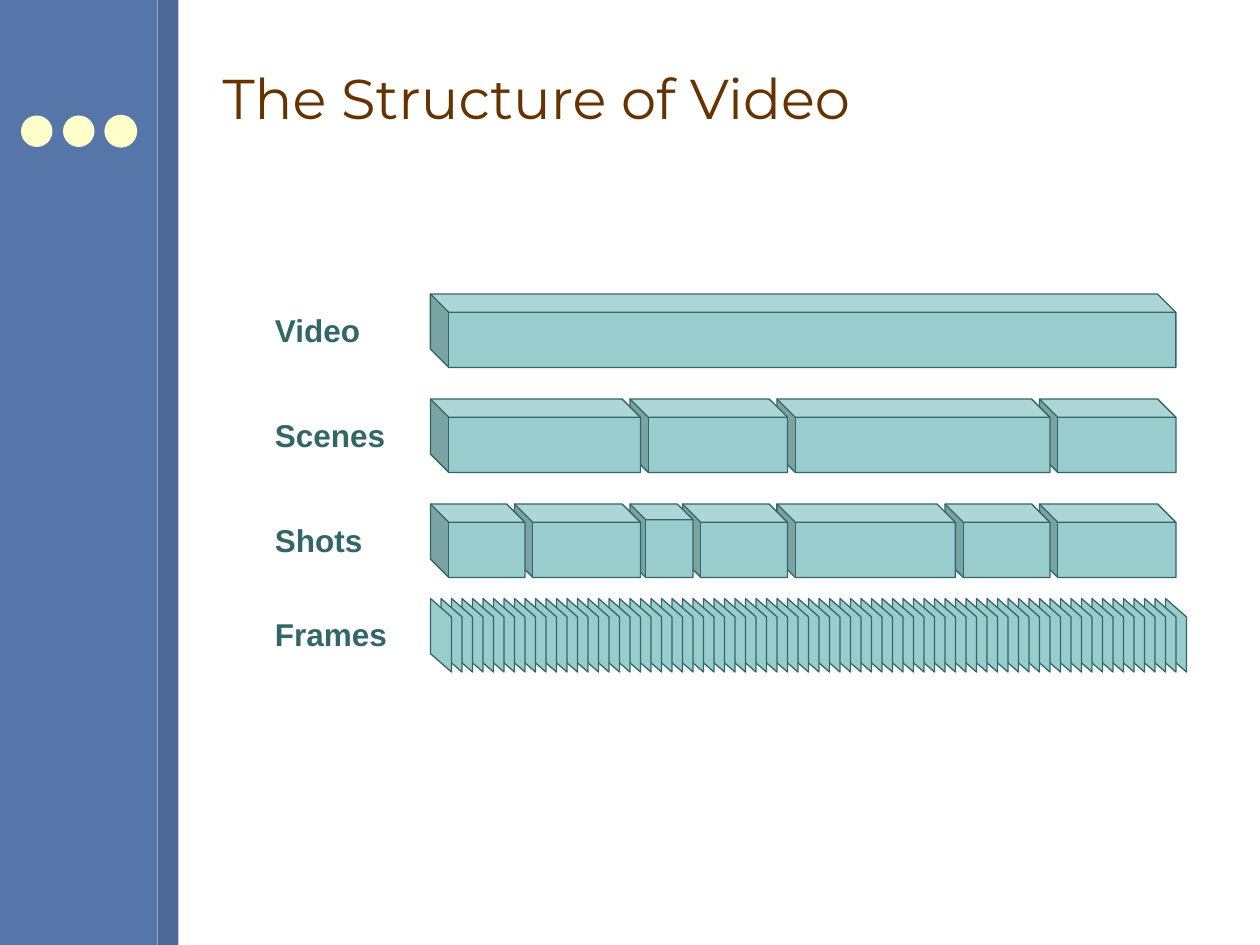
from pptx import Presentation, util as u
from pptx.dml.color import RGBColor
from pptx.enum import shapes, text

COLORS = {
    "sidebar": "5675A9", "edge": "4D6997", "dot": "FFFFCC",
    "block": "99CCCC", "outline": "336666", "title": "663300",
}
GRID = shapes.MSO_SHAPE
START, END = 246, 666      # horizontal extent of the timeline
OVERLAP = 6                # each block runs on behind the one to its left
HEIGHT = 42
FRAME_STEP, FRAME_WIDTH = 6, 12

# Label, label width, top of the row, left edges of its blocks
ROWS = [
    ("Video", 64, 168, [START]),
    ("Scenes", 78, 228, [START, 360, 444, 594]),
    ("Shots", 65, 288, [START, 294, 360, 390, 444, 540, 594]),
    ("Frames", 80, 342, range(START, END + 1, FRAME_STEP)),
]


def color(name):
    return RGBColor.from_string(COLORS[name])


def add_shape(page, kind, left, top, width, height, fill, line=None):
    shape = page.shapes.add_shape(
        kind, u.Pt(left), u.Pt(top), u.Pt(width), u.Pt(height))
    shape.shadow.inherit = False
    shape.fill.solid()
    shape.fill.fore_color.rgb = color(fill)
    if line:
        shape.line.color.rgb = color(line)
        shape.line.width = u.Pt(0.75)
    else:
        shape.line.fill.background()
    return shape


def add_span(para, words, font, size, fill, bold=False):
    span = para.add_run()
    span.text = words
    span.font.name = font
    span.font.size = u.Pt(size)
    span.font.bold = bold
    span.font.color.rgb = color(fill)


def add_sidebar(page):
    add_shape(page, GRID.RECTANGLE, 0, 0, 90, 540, "sidebar")
    add_shape(page, GRID.RECTANGLE, 90, 0, 12, 540, "edge")
    for left, line in ((12, None), (36, None), (60, "dot")):
        add_shape(page, GRID.OVAL, left, 66, 18, 18, "dot", line)


def set_title(page, words):
    title = page.shapes.title
    title.left, title.top = u.Pt(120), u.Pt(15)
    title.width, title.height = u.Pt(576), u.Pt(81)
    title.text_frame.vertical_anchor = text.MSO_ANCHOR.MIDDLE
    para = title.text_frame.paragraphs[0]
    para.alignment = text.PP_ALIGN.LEFT
    add_span(para, words, "Montserrat", 32, "title")


def add_blocks(page, top, starts):
    # Right to left, so that each block covers the start of the next
    ends = [*starts[1:], END]
    for left, end in reversed(list(zip(starts, ends))):
        cube = add_shape(page, GRID.CUBE, left, top, end - left + OVERLAP,
                         HEIGHT, "block", "outline")
        cube.adjustments[0] = 0.25
        cube._element.spPr.xfrm.set("flipH", "1")


def add_frames(page, top, starts):
    # Upright slices: a lying parallelogram turned about its centre
    shift = (HEIGHT - FRAME_WIDTH) / 2
    for left in reversed(starts):
        frame = add_shape(page, GRID.PARALLELOGRAM, left - shift, top + shift,
                          HEIGHT, FRAME_WIDTH, "block", "outline")
        frame.adjustments[0] = 0.875
        frame.rotation = 270


def add_label(page, top, width, words):
    box = page.shapes.add_textbox(
        u.Pt(150), u.Pt(top), u.Pt(width), u.Pt(29))
    box.text_frame.word_wrap = False
    box.text_frame.auto_size = text.MSO_AUTO_SIZE.SHAPE_TO_FIT_TEXT
    para = box.text_frame.paragraphs[0]
    para.alignment = text.PP_ALIGN.LEFT
    add_span(para, words, "Arial", 18, "outline", bold=True)


def main():
    deck = Presentation()
    deck.slide_width, deck.slide_height = u.Pt(720), u.Pt(540)
    page = deck.slides.add_slide(deck.slide_layouts[5])

    add_sidebar(page)
    set_title(page, "The Structure of Video")

    # Timeline rows
    for words, width, top, starts in ROWS:
        draw = add_frames if words == "Frames" else add_blocks
        draw(page, top, starts)
        add_label(page, top + 6, width, words)

    deck.save("out.pptx")


if __name__ == "__main__":
    main()
